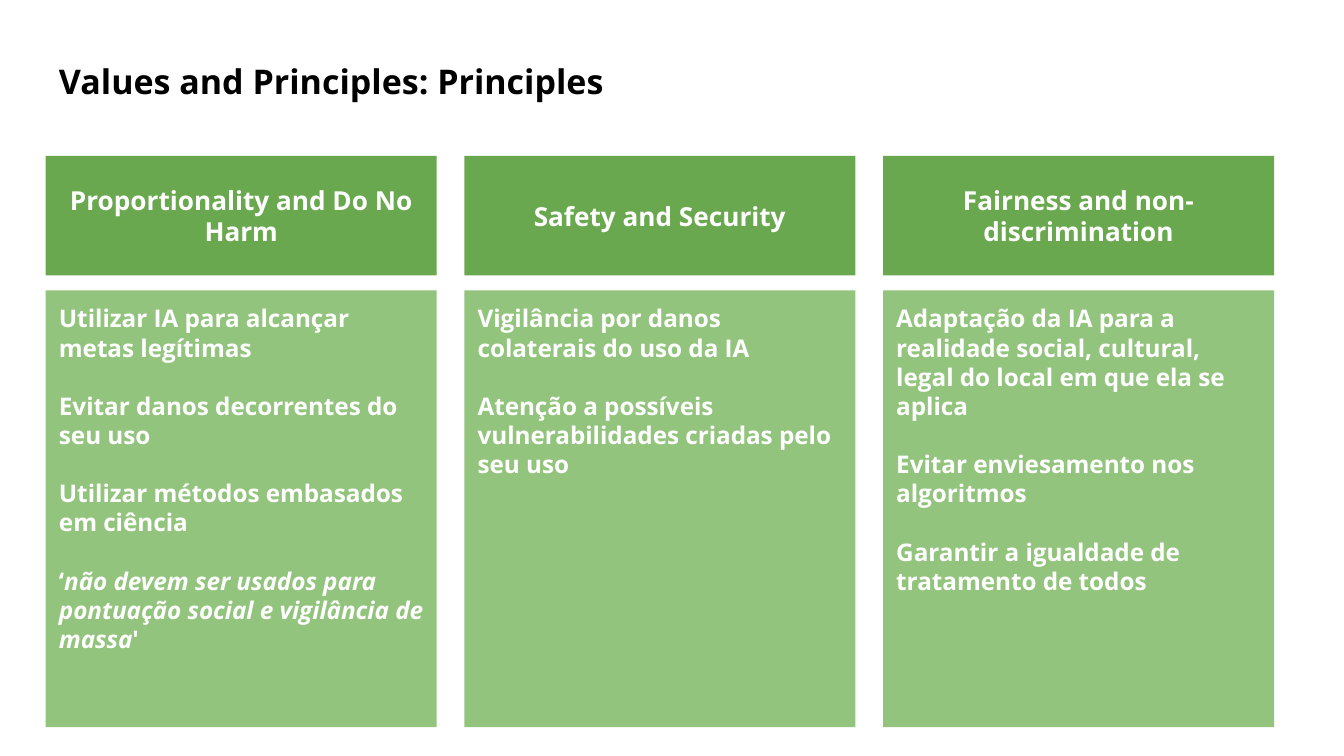
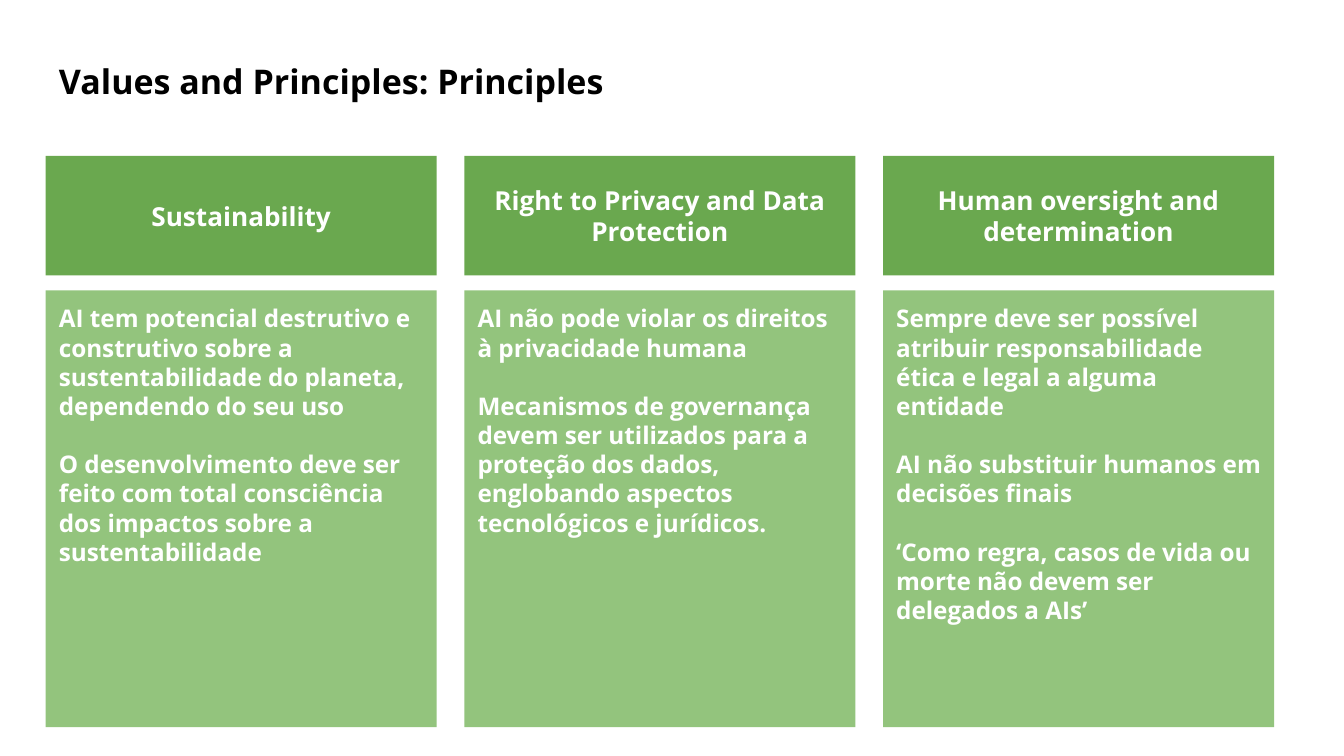
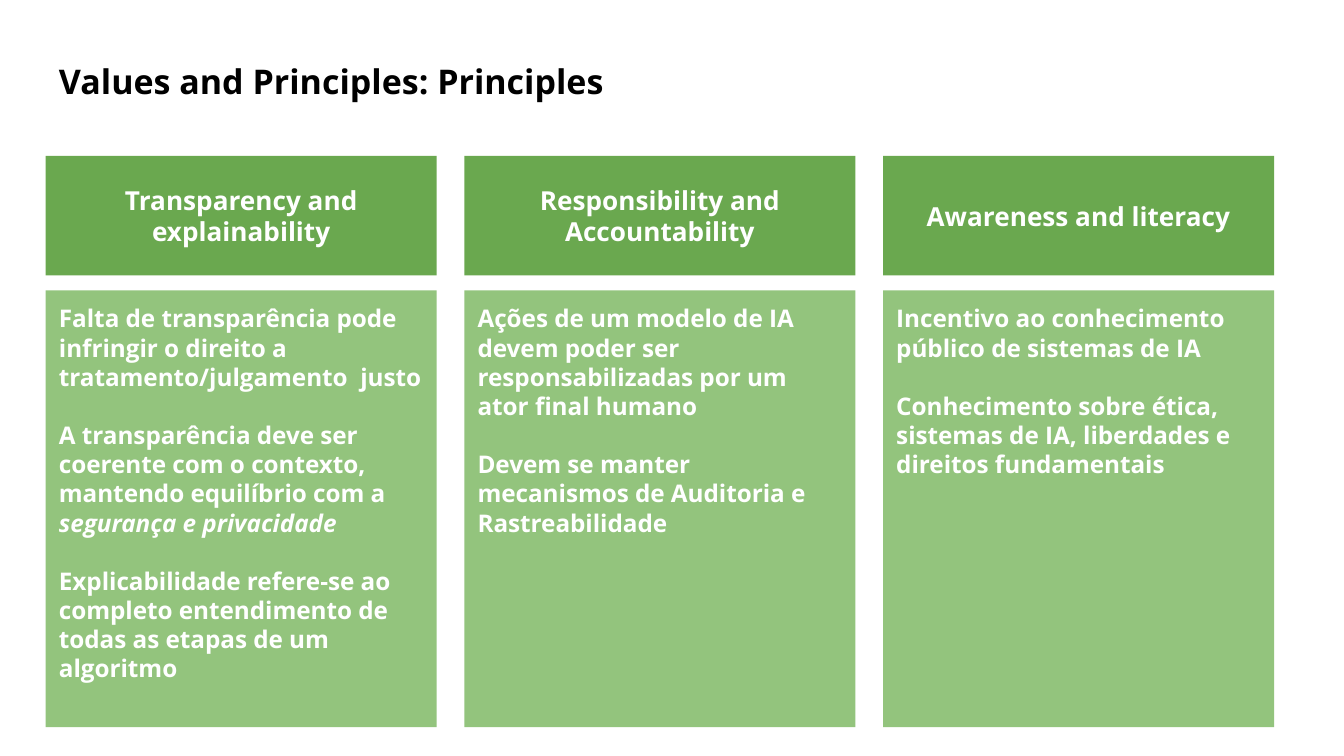
from pptx import Presentation
from pptx.dml.color import RGBColor
from pptx.enum.shapes import MSO_SHAPE
from pptx.enum.text import MSO_ANCHOR, PP_ALIGN
from pptx.util import Inches, Pt

FONT = "Open Sans"
BLACK = "000000"
WHITE = "FFFFFF"
HEADING_GREEN = "6AA84F"
BODY_GREEN = "93C47D"
TITLE = "Values and Principles: Principles"

LEFT = 0.34
COLUMN_WIDTH = 2.91
COLUMN_STEP = (6.57 - LEFT) / 2
MARGIN = Inches(0.1)
BLOCK_GAP = Pt(15.6)
ITALIC_MARK = "*"
CLOSE_PARAGRAPH_MARK = "\n"

FRAME_FORMAT = {
    "word_wrap": True,
    "margin_left": MARGIN,
    "margin_right": MARGIN,
    "margin_top": MARGIN,
    "margin_bottom": MARGIN,
}

SLIDES = [
    [
        ("Proportionality and Do No Harm", [
            "Utilizar IA para alcançar metas legítimas",
            "Evitar danos decorrentes do seu uso",
            "Utilizar métodos embasados em ciência",
            "‘*não devem ser usados para pontuação social e vigilância de massa*'",
        ]),
        ("Safety and Security", [
            "Vigilância por danos colaterais do uso da IA",
            "Atenção a possíveis vulnerabilidades criadas pelo seu uso",
        ]),
        ("Fairness and non-discrimination", [
            "Adaptação da IA para a realidade social, cultural, legal do local em que ela se aplica",
            "Evitar enviesamento nos algoritmos",
            "Garantir a igualdade de tratamento de todos",
        ]),
    ],
    [
        ("Sustainability", [
            "AI tem potencial destrutivo e construtivo sobre a sustentabilidade do planeta, dependendo do seu uso",
            "O desenvolvimento deve ser feito com total consciência dos impactos sobre a sustentabilidade",
        ]),
        ("Right to Privacy and Data Protection", [
            "AI não pode violar os direitos à privacidade humana",
            "Mecanismos de governança devem ser utilizados para a proteção dos dados, "
            "englobando aspectos tecnológicos e jurídicos.",
        ]),
        ("Human oversight and determination", [
            "Sempre deve ser possível atribuir responsabilidade ética e legal a alguma entidade",
            "AI não substituir humanos em decisões finais",
            "‘Como regra, casos de vida ou morte não devem ser delegados a AIs’",
        ]),
    ],
    [
        ("Transparency and explainability", [
            "Falta de transparência pode infringir o direito a tratamento/julgamento  justo",
            "A transparência deve ser coerente com o contexto,\n"
            "mantendo equilíbrio com a *segurança e privacidade*",
            "Explicabilidade refere-se ao completo entendimento de todas as etapas de um algoritmo",
        ]),
        ("Responsibility and Accountability", [
            "Ações de um modelo de IA devem poder ser responsabilizadas por um ator final humano",
            "Devem se manter mecanismos de Auditoria e Rastreabilidade",
        ]),
        ("Awareness and literacy", [
            "Incentivo ao conhecimento público de sistemas de IA",
            "Conhecimento sobre ética, sistemas de IA, liberdades e direitos fundamentais",
        ]),
    ],
]


def color(value):
    return RGBColor.from_string(value)


def write(shape, blocks, size, text_color, alignment=PP_ALIGN.LEFT, anchor=MSO_ANCHOR.TOP):
    frame = shape.text_frame
    for name, value in {**FRAME_FORMAT, "vertical_anchor": anchor}.items():
        setattr(frame, name, value)
    paragraph = frame.paragraphs[0]
    for block_index, block in enumerate(blocks):
        for line_index, line in enumerate(block.split(CLOSE_PARAGRAPH_MARK)):
            if block_index or line_index:
                paragraph = frame.add_paragraph()
            paragraph.alignment = alignment
            if block_index and not line_index:
                paragraph.space_before = BLOCK_GAP
            for part_index, part in enumerate(line.split(ITALIC_MARK)):
                if not part:
                    continue
                run = paragraph.add_run()
                run.text = part
                font_format = {"name": FONT, "size": Pt(size), "bold": True, "italic": part_index % 2 == 1}
                for name, value in font_format.items():
                    setattr(run.font, name, value)
                run.font.color.rgb = color(text_color)


presentation = Presentation()
presentation.slide_width = Inches(10)
presentation.slide_height = Inches(10) * 9 // 16

for columns in SLIDES:
    slide = presentation.slides.add_slide(presentation.slide_layouts[6])
    slide.background.fill.solid()
    slide.background.fill.fore_color.rgb = color(WHITE)
    title = slide.shapes.add_textbox(Inches(LEFT), Inches(0.35), Inches(9.32), Inches(0.49))
    write(title, [TITLE], 18.2, BLACK)

    for column_index, (heading, principles) in enumerate(columns):
        left = LEFT + column_index * COLUMN_STEP
        boxes = [
            (1.16, 0.89, HEADING_GREEN, [heading], 14, PP_ALIGN.CENTER, MSO_ANCHOR.MIDDLE),
            (2.16, 3.25, BODY_GREEN, principles, 13, PP_ALIGN.LEFT, MSO_ANCHOR.TOP),
        ]
        for top, height, fill, blocks, size, alignment, anchor in boxes:
            shape = slide.shapes.add_shape(
                MSO_SHAPE.RECTANGLE, Inches(left), Inches(top), Inches(COLUMN_WIDTH), Inches(height)
            )
            shape.shadow.inherit = False
            shape.fill.solid()
            shape.fill.fore_color.rgb = color(fill)
            shape.line.fill.background()
            write(shape, blocks, size, WHITE, alignment, anchor)

presentation.save("out.pptx")
